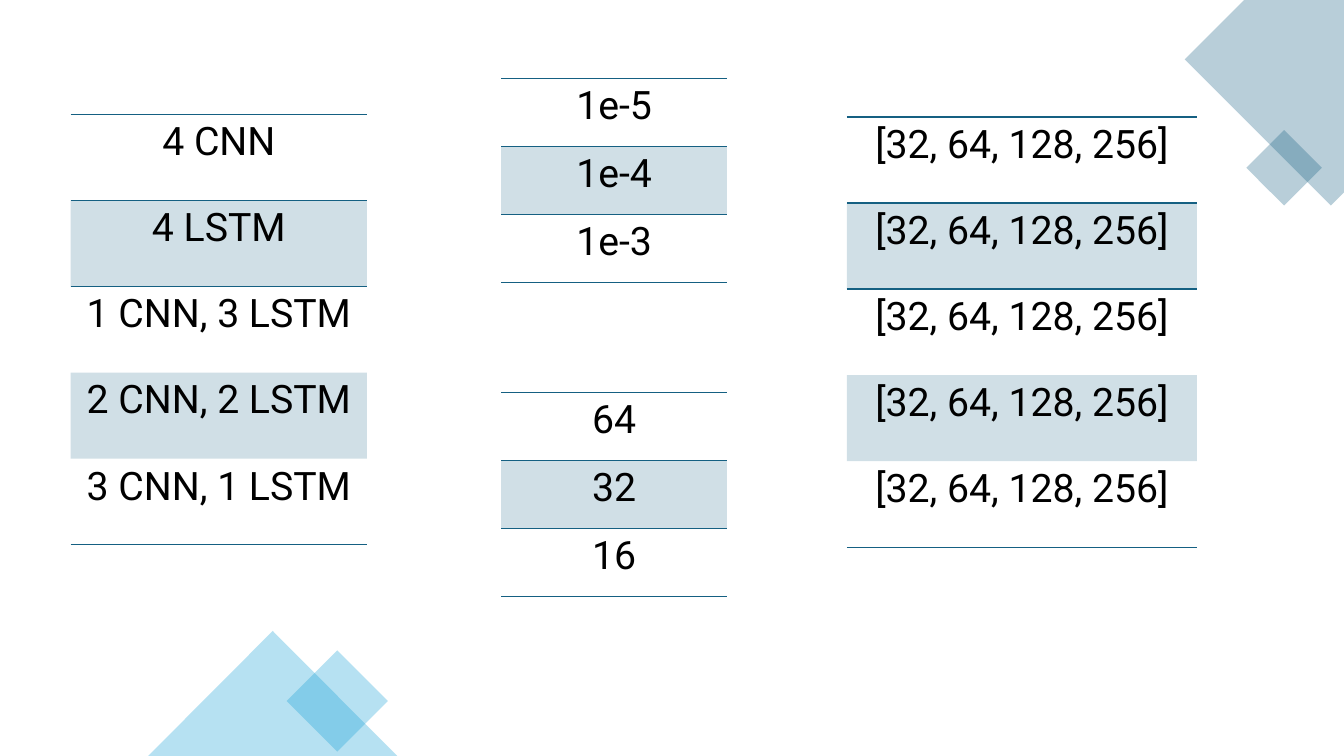
from lxml import etree
from pptx import Presentation
from pptx import util as u
from pptx.dml.color import RGBColor
from pptx.enum import shapes, text
from pptx.oxml.ns import qn

TEAL, SKY, BLACK = "156082", "0F9ED5", "000000"
NO_STYLE = "{2D5ABB26-0587-4C30-8999-92F81FD0307C}"
FONT = {"name": "Roboto", "size": u.Pt(28)}


def paint(fill, color, opacity=100):
    fill.solid()
    fill.fore_color.rgb = RGBColor.from_string(color)
    if opacity < 100:
        clr = fill._xPr.find(".//" + qn("a:srgbClr"))
        etree.SubElement(clr, qn("a:alpha"), val=str(opacity * 1000))


def add_border(cell, side, color):
    ln = etree.Element(qn("a:ln" + side), w=str(u.Pt(1)))
    solid = etree.SubElement(ln, qn("a:solidFill"))
    etree.SubElement(solid, qn("a:srgbClr"), val=color)
    cell._tc.get_or_add_tcPr().insert(0, ln)


prs = Presentation()
prs.slide_width, prs.slide_height = u.Inches(13.33), u.Inches(7.5)
s = prs.slides.add_slide(prs.slide_layouts[6])

# Corner diamond, cut off by the slide's top and right edges
corner = [(13.33, 0), (12.34, 0), (11.75, 0.59), (13.2, 2.04), (13.33, 1.91)]
pts = [(u.Inches(x), u.Inches(y)) for x, y in corner]
fb = s.shapes.build_freeform(*pts[0], scale=1.0)
fb.add_line_segments(pts[1:], close=True)
decor = [(fb.convert_to_shape(), TEAL)]

# Small diamonds and the bottom triangle
MSO = shapes.MSO_SHAPE
for kind, left, top, width, height, turn, color in [
    (MSO.RECTANGLE, 12.47, 1.4, 0.53, 0.53, 45, TEAL),
    (MSO.RECTANGLE, 2.99, 6.6, 0.71, 0.71, 45, SKY),
    (MSO.ISOSCELES_TRIANGLE, 1.47, 6.26, 2.47, 1.24, 0, SKY),
]:
    sp = s.shapes.add_shape(kind, *map(u.Inches, (left, top, width, height)))
    sp.rotation = turn
    decor.append((sp, color))

for sp, color in decor:
    sp.shadow.inherit = False
    sp.line.fill.background()
    paint(sp.fill, color, 30)

# One-column tables: left, top, width, row height, entries
tables = [
    (0.7, 1.135, 2.94, 0.854,
     ["4 CNN", "4 LSTM", "1 CNN, 3 LSTM", "2 CNN, 2 LSTM", "3 CNN, 1 LSTM"]),
    (4.97, 0.78, 2.24, 0.675, ["1e-5", "1e-4", "1e-3"]),
    (4.97, 3.89, 2.24, 0.675, ["64", "32", "16"]),
    (8.4, 1.16, 3.47, 0.854, ["[32, 64, 128, 256]"] * 5),
]
for left, top, width, row, entries in tables:
    box = map(u.Inches, (left, top, width, row * len(entries)))
    tbl = s.shapes.add_table(len(entries), 1, *box).table
    tbl.first_row = tbl.horz_banding = False
    tbl._tbl.tblPr.find(qn("a:tableStyleId")).text = NO_STYLE
    for i, entry in enumerate(entries):
        cell = tbl.cell(i, 0)
        p = cell.text_frame.paragraphs[0]
        p.alignment = text.PP_ALIGN.CENTER
        r = p.add_run()
        r.text = entry
        for key, value in FONT.items():
            setattr(r.font, key, value)
        paint(r.font.fill, BLACK)
        # Every second row is shaded
        if i % 2:
            paint(cell.fill, TEAL, 20)
        else:
            cell.fill.background()
        # Rules around the first row and below the last
        if i in (0, len(entries) - 1):
            add_border(cell, "B", TEAL)
        if i == 0:
            add_border(cell, "T", TEAL)
        if i == 1:
            add_border(cell, "T", TEAL)

prs.save("out.pptx")
